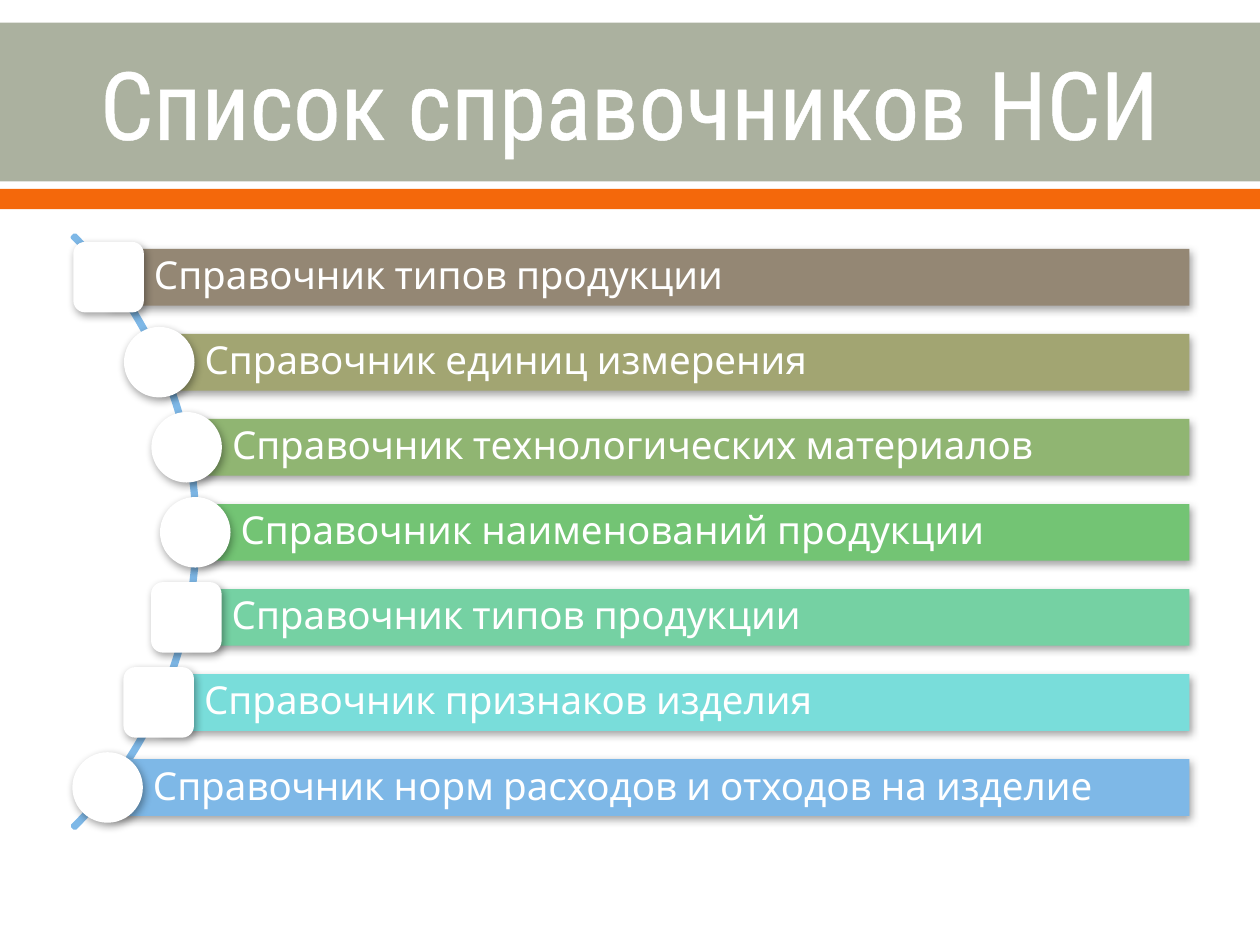
from math import sqrt
from lxml.etree import SubElement
from pptx import Presentation
from pptx.dml.color import RGBColor
from pptx.enum.shapes import MSO_SHAPE as SHAPE
from pptx.enum.text import MSO_ANCHOR, MSO_AUTO_SIZE, PP_ALIGN
from pptx.oxml.ns import qn
from pptx.util import Inches, Pt

# Content: text, bar colour, badge shape
TITLE = "Список справочников НСИ"
SQUARE, ROUND = SHAPE.FLOWCHART_ALTERNATE_PROCESS, SHAPE.OVAL
ITEMS = [
    ("Справочник типов продукции", "948774", SQUARE),
    ("Справочник единиц измерения", "A2A572", ROUND),
    ("Справочник технологических материалов", "90B572", ROUND),
    ("Справочник наименований продукции", "73C474", ROUND),
    ("Справочник типов продукции", "75D1A3", SQUARE),
    ("Справочник признаков изделия", "79DDDA", SQUARE),
    ("Справочник норм расходов и отходов на изделие", "7EB8E7", ROUND),
]
THEME = dict(white="FFFFFF", band="ABB19F", stripe="F4680B", arc="7EB8E7", shadow="000000",
             title_font="Roboto Condensed", body_font="Karla", title_size=54, body_size=22)

# Geometry, in inches
ARC_X, ARC_Y, ARC_R = -1.76, 4.22, 3.33
BADGE_R = 3.31  # badge centres lie just inside the arc
BAR_RIGHT, BAR_H, BADGE = 9.44, 0.45, 0.56
FIRST_Y, LAST_Y = 2.2, 6.25  # centres of the first and last bars


def colour(name):
    return RGBColor.from_string(name)


def add_shape(slide, kind, x, y, w, h, fill=None):
    s = slide.shapes.add_shape(kind, Inches(x), Inches(y), Inches(w), Inches(h))
    s.shadow.inherit = False
    s.line.fill.background()
    if fill:
        s.fill.solid()
        s.fill.fore_color.rgb = colour(fill)
    else:
        s.fill.background()
    return s


def add_shadow(s):
    effects = s._element.spPr.find(qn("a:effectLst"))
    shadow = SubElement(effects, qn("a:outerShdw"), blurRad=str(Pt(5)), dist=str(Pt(2)),
                        dir=str(60 * 60000), algn="tl", rotWithShape="0")
    clr = SubElement(shadow, qn("a:srgbClr"), val=THEME["shadow"])
    SubElement(clr, qn("a:alpha"), val="36000")


def write(s, text, font, size, align):
    tf = s.text_frame
    tf.word_wrap = True
    tf.auto_size = MSO_AUTO_SIZE.NONE
    tf.vertical_anchor = MSO_ANCHOR.MIDDLE
    p = tf.paragraphs[0]
    p.text = text
    p.alignment = align
    p.font.name, p.font.size = font, Pt(size)
    p.font.color.rgb = colour(THEME["white"])
    return tf


def add_title(slide):
    s = slide.shapes.title
    s.left, s.top, s.width, s.height = Inches(0.5), Inches(0.2), Inches(9), Inches(1.22)
    tf = write(s, TITLE, THEME["title_font"], THEME["title_size"], PP_ALIGN.CENTER)
    # White outline around the letters
    r = tf.paragraphs[0].runs[0]
    ln = SubElement(r.font._element, qn("a:ln"), w=str(Pt(1.1)))
    SubElement(SubElement(ln, qn("a:solidFill")), qn("a:srgbClr"), val=THEME["white"])
    slide.shapes._spTree.append(s._element)  # in front of the band


def add_arc(slide):
    s = add_shape(slide, SHAPE.BLOCK_ARC, ARC_X - ARC_R, ARC_Y - ARC_R, 2 * ARC_R, 2 * ARC_R)
    for i, value in enumerate((189, 27, 0.004)):
        s.adjustments[i] = value
    s.line.color.rgb = colour(THEME["arc"])
    s.line.width = Pt(2.22)


def add_item(slide, y, text, fill, badge_kind):
    x = ARC_X + sqrt(BADGE_R ** 2 - (y - ARC_Y) ** 2)
    bar = add_shape(slide, SHAPE.RECTANGLE, x, y - BAR_H / 2, BAR_RIGHT - x, BAR_H, fill)
    add_shadow(bar)
    tf = write(bar, text, THEME["body_font"], THEME["body_size"], PP_ALIGN.LEFT)
    tf.paragraphs[0].line_spacing = 0.9
    tf.margin_left = Inches(0.36)
    tf.margin_right = tf.margin_top = tf.margin_bottom = Inches(0.06)
    badge = add_shape(slide, badge_kind, x - BADGE / 2, y - BADGE / 2, BADGE, BADGE,
                      THEME["white"])
    add_shadow(badge)


def main():
    prs = Presentation()
    prs.slide_width, prs.slide_height = Inches(10), Inches(7.5)
    slide = prs.slides.add_slide(prs.slide_layouts[5])

    # Header
    add_shape(slide, SHAPE.RECTANGLE, 0, 0.18, 10, 1.26, THEME["band"])
    add_shape(slide, SHAPE.RECTANGLE, 0, 1.5, 10, 0.16, THEME["stripe"])
    add_title(slide)

    # List along the arc
    add_arc(slide)
    pitch = (LAST_Y - FIRST_Y) / (len(ITEMS) - 1)
    for i, item in enumerate(ITEMS):
        add_item(slide, FIRST_Y + i * pitch, *item)

    prs.save("out.pptx")


if __name__ == "__main__":
    main()
